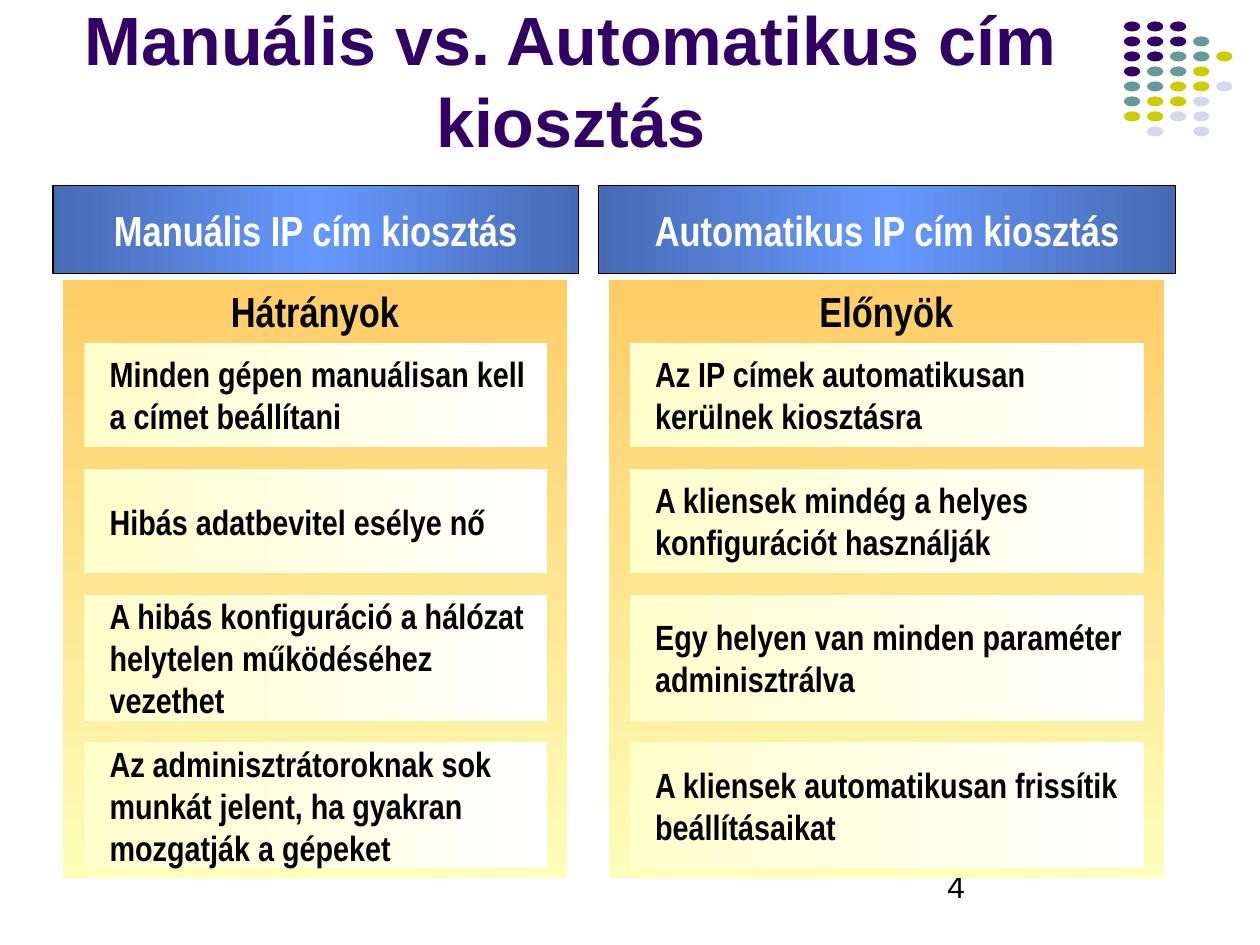
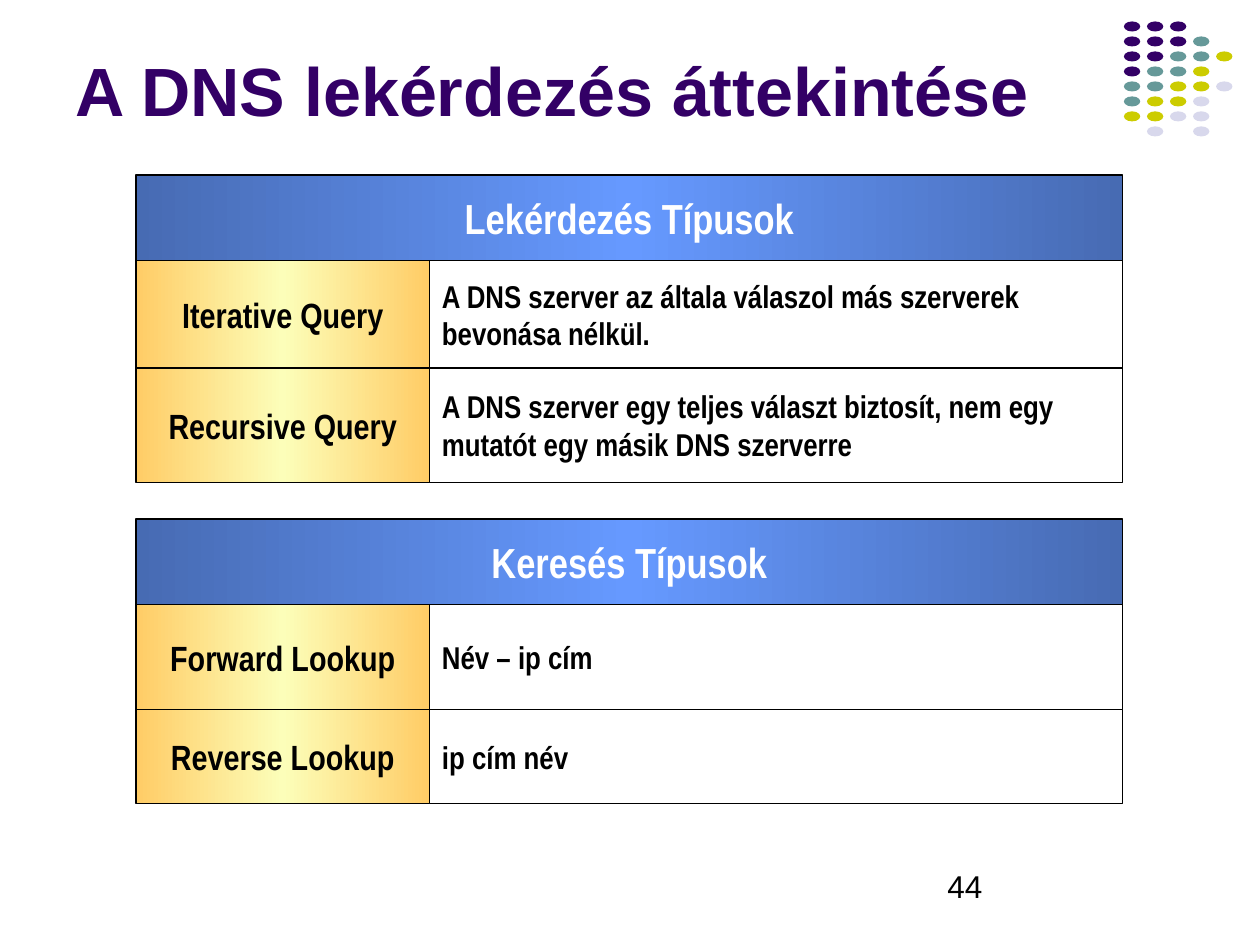
from pptx import Presentation
from pptx.dml.color import RGBColor
from pptx.enum.shapes import MSO_SHAPE
from pptx.enum.text import MSO_ANCHOR, MSO_AUTO_SIZE, PP_ALIGN
from pptx.oxml import parse_xml
from pptx.oxml.ns import nsdecls
from pptx.util import Inches, Pt

RECTANGLE, OVAL = MSO_SHAPE.RECTANGLE, MSO_SHAPE.OVAL
LEFT, CENTER = PP_ALIGN.LEFT, PP_ALIGN.CENTER
TOP, MIDDLE, BOTTOM = MSO_ANCHOR.TOP, MSO_ANCHOR.MIDDLE, MSO_ANCHOR.BOTTOM
NO_AUTOFIT = MSO_AUTO_SIZE.NONE
TITLE_ONLY = 5

BLACK = RGBColor(0x00, 0x00, 0x00)
WHITE = RGBColor(0xFF, 0xFF, 0xFF)
PURPLE = RGBColor(0x33, 0x00, 0x66)
TEAL = RGBColor(0x66, 0x99, 0x99)
OLIVE = RGBColor(0xCC, 0xCC, 0x00)
LAVENDER = RGBColor(0xD8, 0xD8, 0xEC)
DARK_BLUE = RGBColor(0x47, 0x6B, 0xB3)
BLUE = RGBColor(0x66, 0x99, 0xFF)
ORANGE = RGBColor(0xFF, 0xCC, 0x66)
PALE_YELLOW = RGBColor(0xFC, 0xFE, 0xB9)
CREAM = RGBColor(0xFF, 0xFF, 0xCC)

# Gradients: colours at equal steps, then the angle in degrees
BLUE_BAND = ([DARK_BLUE, BLUE, DARK_BLUE], 0)
GOLD_BAND = ([ORANGE, PALE_YELLOW, ORANGE], 0)
GOLD_PANEL = ([ORANGE, PALE_YELLOW], 90)
CREAM_CARD = ([CREAM, WHITE], 0)

TITLE_FONT = {"name": "Arial", "size": Pt(39), "bold": True}
NUMBER_FONT = {"name": "Arial", "size": Pt(18)}
HEADING_FONT = {"name": "Arial Narrow", "size": Pt(24), "bold": True}
LABEL_FONT = {"name": "Arial Narrow", "size": Pt(20), "bold": True}
DETAIL_FONT = {"name": "Arial Narrow", "size": Pt(18), "bold": True}

DOT_COLORS = {"P": PURPLE, "T": TEAL, "O": OLIVE, "L": LAVENDER}
DOT_ROWS = ["PPP", "PPPT", "PPTTO", "PTTO", "TTOOL", "TOOL", "OOLL", ".L.L"]

COLUMNS = [
    (0.42, 4.17, "Manuális IP cím kiosztás", "Hátrányok", [
        "Minden gépen manuálisan kell a címet beállítani",
        "Hibás adatbevitel esélye nő",
        "A hibás konfiguráció a hálózat helytelen működéséhez vezethet",
        "Az adminisztrátoroknak sok munkát jelent, ha gyakran mozgatják a gépeket",
    ]),
    (4.75, 4.58, "Automatikus IP cím kiosztás", "Előnyök", [
        "Az IP címek automatikusan kerülnek kiosztásra",
        "A kliensek mindég a helyes konfigurációt használják",
        "Egy helyen van minden paraméter adminisztrálva",
        "A kliensek automatikusan frissítik beállításaikat",
    ]),
]
CARD_HEIGHTS = [0.83, 0.83, 1, 1]
CARD_GAP = 0.17

TYPE_BLOCKS = [
    (1.39, "Lekérdezés Típusok", [
        (0.85, "Iterative Query",
         "A DNS szerver az általa válaszol más szerverek bevonása nélkül."),
        (0.91, "Recursive Query",
         "A DNS szerver egy teljes választ biztosít, nem egy mutatót egy másik DNS szerverre"),
    ]),
    (4.12, "Keresés Típusok", [
        (0.83, "Forward Lookup", "Név – ip cím"),
        (0.75, "Reverse Lookup", "ip cím név"),
    ]),
]


def inches(values):
    return [Inches(value) for value in values]


def set_text(shape, text, font, color=BLACK, align=LEFT, anchor=TOP, margin_left=0.1):
    frame = shape.text_frame
    frame.text = text
    settings = {
        "word_wrap": True, "auto_size": NO_AUTOFIT, "vertical_anchor": anchor,
        "margin_left": Inches(margin_left), "margin_right": Inches(0.1),
        "margin_top": Inches(0.05), "margin_bottom": Inches(0.05),
    }
    for name, value in settings.items():
        setattr(frame, name, value)
    para = frame.paragraphs[0]
    para.alignment = align
    span = para.runs[0]
    for name, value in font.items():
        setattr(span.font, name, value)
    span.font.color.rgb = color


def set_gradient(shape, colors, angle):
    last = len(colors) - 1
    stops = "".join(
        f'<a:gs pos="{100000 * i // last}"><a:srgbClr val="{color}"/></a:gs>'
        for i, color in enumerate(colors))
    gradient = parse_xml(
        f'<a:gradFill {nsdecls("a")} rotWithShape="1"><a:gsLst>{stops}</a:gsLst>'
        f'<a:lin ang="{angle * 60000}" scaled="0"/></a:gradFill>')
    shape.fill.background()
    properties = shape.element.spPr
    properties.replace(properties.find("{*}noFill"), gradient)


def add_box(shapes, kind, box, fill, border=None):
    """Add a shape; fill is a colour or a gradient, border a width in points."""
    shape = shapes.add_shape(kind, *inches(box))
    shape.shadow.inherit = False
    if isinstance(fill, RGBColor):
        shape.fill.solid()
        shape.fill.fore_color.rgb = fill
    else:
        set_gradient(shape, *fill)
    if border:
        shape.line.color.rgb = BLACK
        shape.line.width = Pt(border)
    else:
        shape.line.fill.background()
    return shape


def add_band(page, box, text, border):
    band = add_box(page.shapes, RECTANGLE, box, BLUE_BAND, border)
    set_text(band, text, HEADING_FONT, WHITE, CENTER, MIDDLE)


def add_dots_to_master(deck, page, left, top):
    """Draw the dot grid as a group and move it to the master."""
    group = page.shapes.add_group_shape()
    for row, codes in enumerate(DOT_ROWS):
        for column, code in enumerate(codes):
            if code in DOT_COLORS:
                box = (left + 0.183 * column, top + 0.119 * row, 0.13, 0.08)
                add_box(group.shapes, OVAL, box, DOT_COLORS[code])
    deck.slide_master.shapes.element.append(group.element)


def add_page(deck, title, title_box, align, number):
    page = deck.slides.add_slide(deck.slide_layouts[TITLE_ONLY])
    heading = page.shapes.title
    heading.left, heading.top, heading.width, heading.height = inches(title_box)
    set_text(heading, title, TITLE_FONT, PURPLE, align, BOTTOM)
    number_box = page.shapes.add_textbox(*inches((7.42, 6.83, 2.33, 0.5)))
    set_text(number_box, number, NUMBER_FONT)
    return page


def add_column(page, left, top, width, heading, subheading, items):
    panel = add_box(page.shapes, RECTANGLE,
                    (left + 0.08, top + 0.75, width - 0.17, 4.75), GOLD_PANEL)
    set_text(panel, subheading, HEADING_FONT, align=CENTER)
    add_band(page, (left, top, width, 0.7), heading, 0.75)
    card_top = top + 1.25
    for item, height in zip(items, CARD_HEIGHTS):
        card = add_box(page.shapes, RECTANGLE,
                       (left + 0.25, card_top, width - 0.5, height), CREAM_CARD)
        set_text(card, item, LABEL_FONT, anchor=MIDDLE, margin_left=0.2)
        card_top += height + CARD_GAP


def add_type_block(page, left, top, width, heading, rows):
    band_height, label_width = 0.68, 2.33
    add_band(page, (left, top, width, band_height), heading, 1)
    row_top = top + band_height
    for height, label, detail in rows:
        label_box = add_box(page.shapes, RECTANGLE,
                            (left, row_top, label_width, height), GOLD_BAND, 0.75)
        set_text(label_box, label, LABEL_FONT, align=CENTER, anchor=MIDDLE)
        detail_box = add_box(
            page.shapes, RECTANGLE,
            (left + label_width, row_top, width - label_width, height), WHITE, 0.75)
        set_text(detail_box, detail, DETAIL_FONT, anchor=MIDDLE)
        row_top += height


def main():
    deck = Presentation()
    deck.slide_width, deck.slide_height = Inches(10), Inches(7.5)

    comparison = add_page(deck, "Manuális vs. Automatikus cím kiosztás",
                          (0.33, 0.31, 8.4, 1.02), CENTER, "4")
    add_dots_to_master(deck, comparison, 8.92, 0.17)
    for left, width, heading, subheading, items in COLUMNS:
        add_column(comparison, left, 1.47, width, heading, subheading, items)

    overview = add_page(deck, "A DNS lekérdezés áttekintése",
                        (0.5, 0.13, 8.25, 0.95), LEFT, "44")
    for top, heading, rows in TYPE_BLOCKS:
        add_type_block(overview, 1.08, top, 7.83, heading, rows)

    deck.save("out.pptx")


if __name__ == "__main__":
    main()
